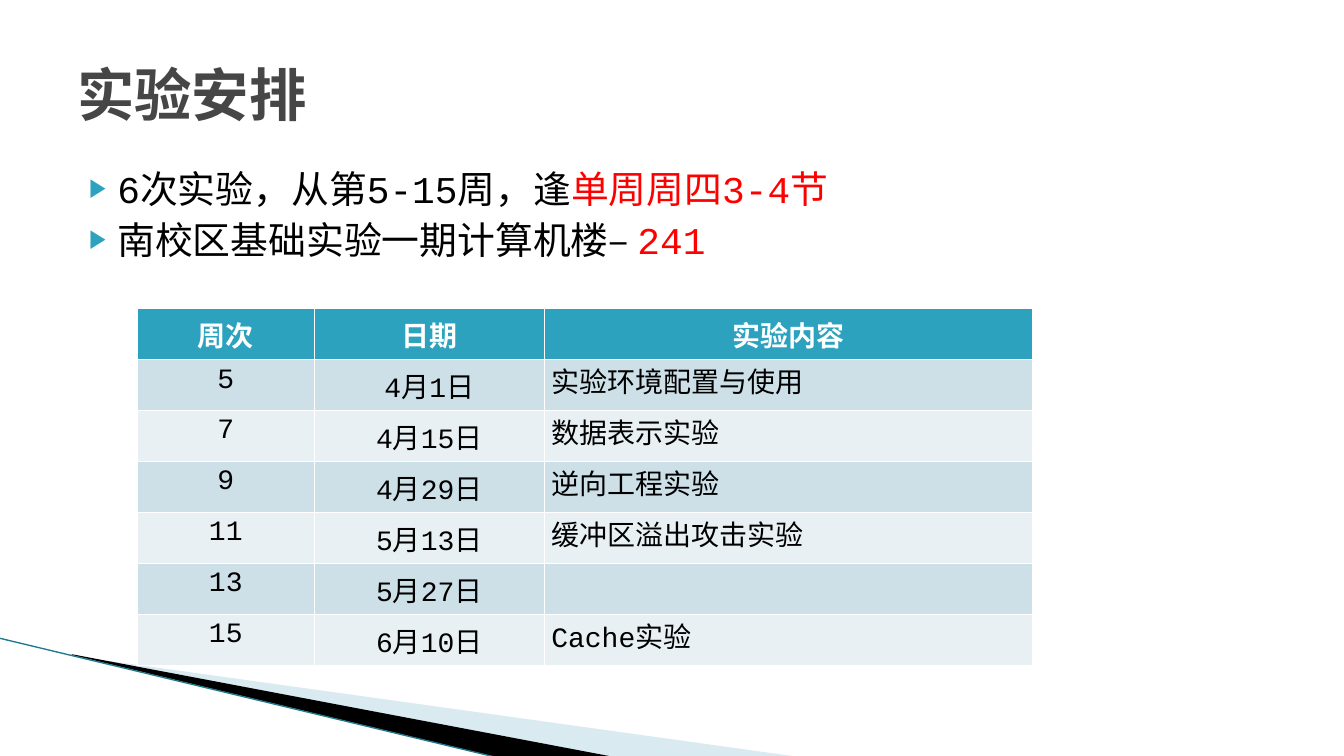
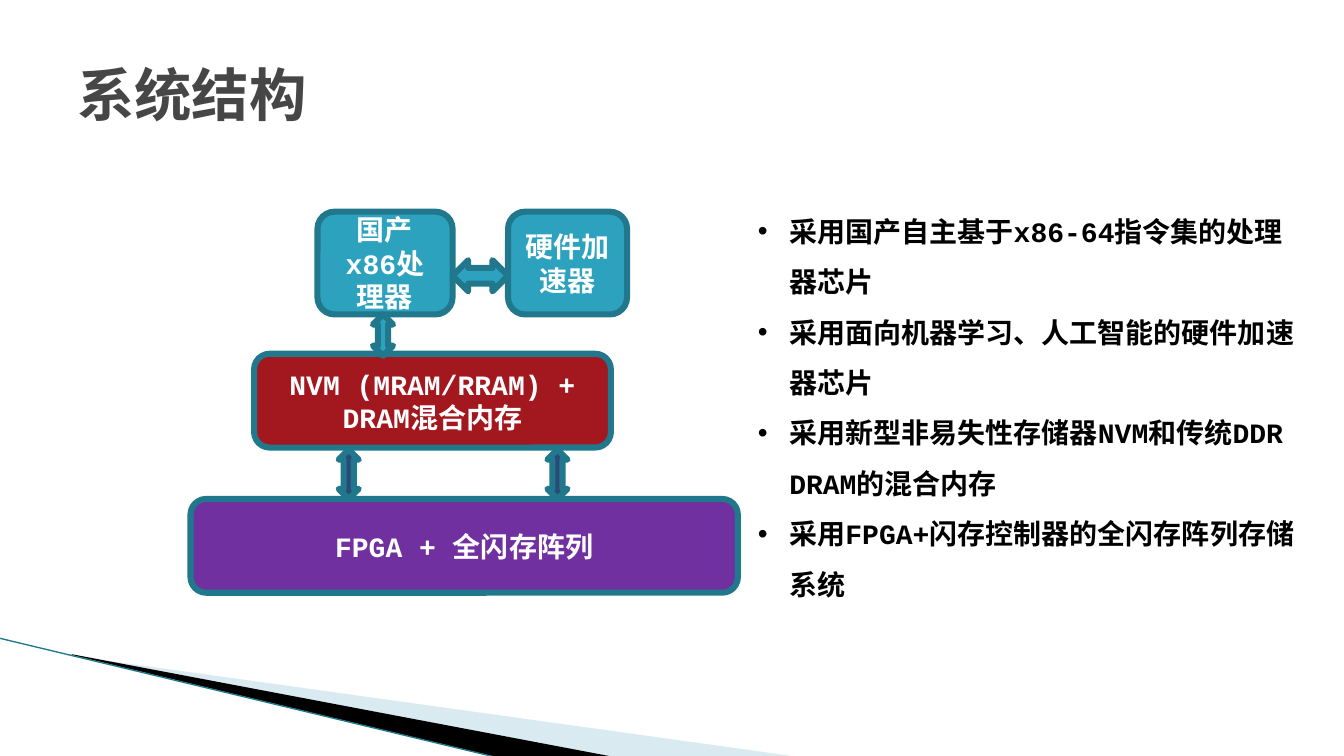
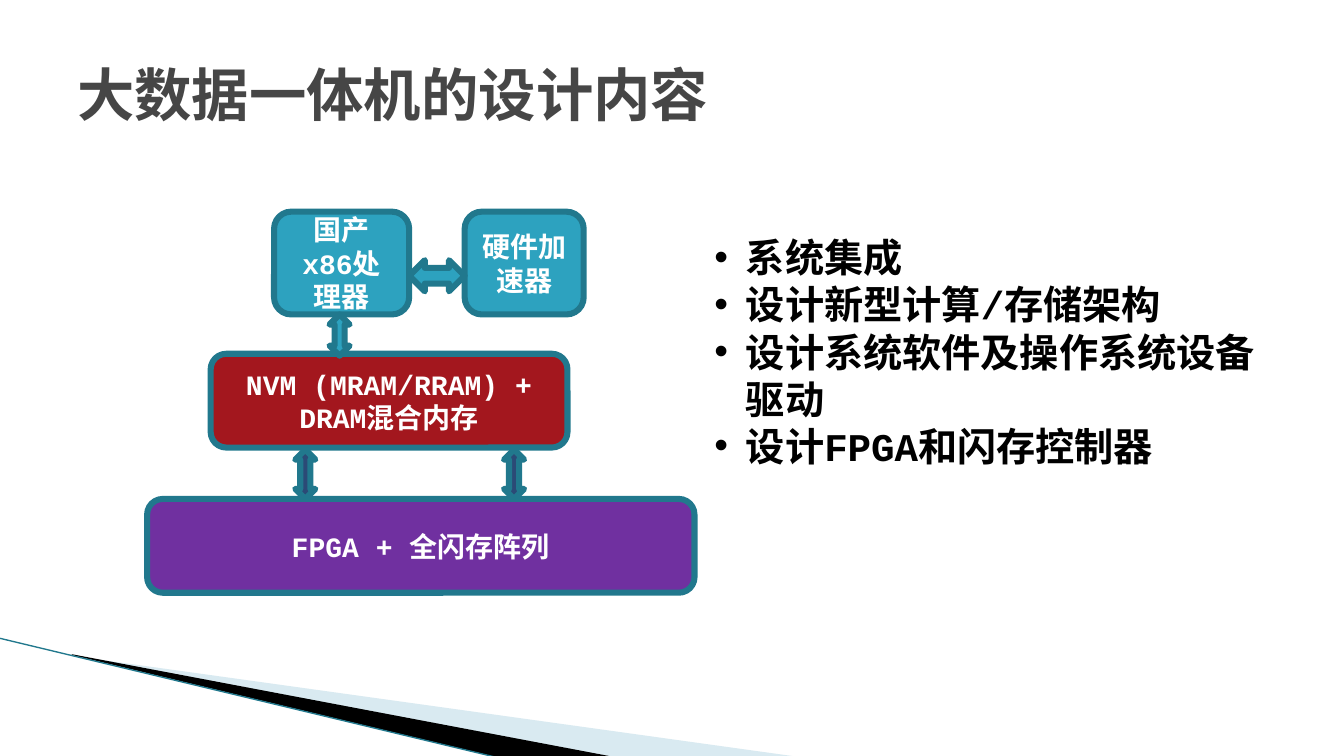
"""Build three course slides: the lab timetable and two views of a system architecture."""
from lxml.etree import SubElement
from pptx import Presentation
from pptx.dml.color import RGBColor
from pptx.enum.shapes import MSO_CONNECTOR, MSO_SHAPE
from pptx.enum.text import MSO_ANCHOR, MSO_AUTO_SIZE, PP_ALIGN
from pptx.oxml.ns import qn
from pptx.util import Pt


class Theme:
    font = "Courier New"
    teal = RGBColor.from_string("2DA2BF")
    edge = RGBColor.from_string("21788D")
    pale = RGBColor.from_string("A0CBDC")
    memory = RGBColor.from_string("A3171E")
    storage = RGBColor.from_string("7030A0")
    storage_link = RGBColor.from_string("2B4A76")
    bands = [RGBColor.from_string("CDE0E8"), RGBColor.from_string("E8F0F4")]
    grey = RGBColor.from_string("464646")
    black = RGBColor.from_string("000000")
    white = RGBColor.from_string("FFFFFF")
    red = RGBColor.from_string("FF0000")
    title_size, lead_size, topic_size, base_size = Pt(41), Pt(27), Pt(28), Pt(20)
    edge_width = Pt(4.33)


def write(frame, paragraphs, size, color, bold=False, bullet=None, **layout):
    """Fill a frame; a paragraph is a string or a list of (text, colour) runs."""
    frame.word_wrap = True
    for index, content in enumerate(paragraphs):
        paragraph = frame.paragraphs[0] if index == 0 else frame.add_paragraph()
        for name, value in layout.items():
            if name != "space_before" or index:
                setattr(paragraph, name, value)
        if bullet:
            properties = paragraph._p.get_or_add_pPr()
            properties.set("marL", str(Pt(bullet["margin"])))
            properties.set("indent", str(Pt(-bullet["hang"])))
            tint = SubElement(properties, qn("a:buClr"))
            SubElement(tint, qn("a:srgbClr"), val=str(bullet["color"]))
            SubElement(properties, qn("a:buSzPct"), val=bullet["scale"])
            SubElement(properties, qn("a:buFont"), typeface="Arial")
            SubElement(properties, qn("a:buChar"), char=bullet["char"])
        runs = [(content, color)] if isinstance(content, str) else content
        for text, tone in runs:
            run = paragraph.add_run()
            run.text = text
            for name, value in {"name": Theme.font, "size": size, "bold": bold}.items():
                setattr(run.font, name, value)
            run.font.color.rgb = tone


def paint(shape, fill, edge=None):
    """Give a shape a flat fill and, if asked, an outline."""
    shape.shadow.inherit = False
    shape.fill.solid()
    shape.fill.fore_color.rgb = fill
    if edge is None:
        shape.line.fill.background()
    else:
        shape.line.color.rgb = edge
        shape.line.width = Theme.edge_width


deck = Presentation()
deck.slide_width, deck.slide_height = Pt(960), Pt(540)

wedges = [
    (Theme.pale, "40000", [(52.6, 468.6), (571, 540.7), (437.8, 540.7), (52.6, 468)]),
    (Theme.black, "100000", [(51.1, 467.3), (438.5, 540.7), (357.1, 541.4), (51.8, 468)]),
]
slides = []
for heading in ["实验安排", "系统结构", "大数据一体机的设计内容"]:
    slide = deck.slides.add_slide(deck.slide_layouts[6])
    for color, alpha, corners in wedges:
        start, *rest = [(Pt(x), Pt(y)) for x, y in corners]
        builder = slide.shapes.build_freeform(*start)
        builder.add_line_segments(rest)
        wedge = builder.convert_to_shape()
        paint(wedge, color)
        SubElement(wedge.fill._xPr.find(".//" + qn("a:srgbClr")), qn("a:alpha"), val=alpha)
    sweep = slide.shapes.add_connector(MSO_CONNECTOR.STRAIGHT, Pt(-0.7), Pt(455.8), Pt(356.4), Pt(541.4))
    sweep.line.color.rgb = Theme.edge
    sweep.line.width = Pt(0.95)
    SubElement(sweep._element.spPr, qn("a:effectLst"))
    title = slide.shapes.add_textbox(Pt(48), Pt(21.6), Pt(864), Pt(90)).text_frame
    title.vertical_anchor = MSO_ANCHOR.MIDDLE
    write(title, [heading], Theme.title_size, Theme.grey, bold=True)
    slides.append(slide)

schedule_slide, *system_slides = slides
summary = schedule_slide.shapes.add_textbox(Pt(48), Pt(114.5), Pt(864), Pt(80))
triangle = {"char": "▶", "color": Theme.teal, "scale": "68000", "margin": 28.8, "hang": 20.2}
write(summary.text_frame, [
    [("6次实验，从第5-15周，逢", Theme.black), ("单周周四3-4节", Theme.red)],
    [("南校区基础实验一期计算机楼– ", Theme.black), ("241", Theme.red)],
], Theme.lead_size, Theme.black, bullet=triangle, space_before=Pt(4))

schedule = [
    ("周次", "日期", "实验内容"),
    ("5", "4月1日", "实验环境配置与使用"),
    ("7", "4月15日", "数据表示实验"),
    ("9", "4月29日", "逆向工程实验"),
    ("11", "5月13日", "缓冲区溢出攻击实验"),
    ("13", "5月27日", ""),
    ("15", "6月10日", "Cache实验"),
]
row_height = 36.4
timetable = schedule_slide.shapes.add_table(
    len(schedule), 3, Pt(97.9), Pt(220.5), Pt(640), Pt(row_height * len(schedule))).table
for column, width in zip(timetable.columns, [126.7, 164.2, 349.1]):
    column.width = Pt(width)
for row, entries in enumerate(schedule):
    timetable.rows[row].height = Pt(row_height)
    for column, entry in enumerate(entries):
        cell = timetable.cell(row, column)
        cell.fill.solid()
        cell.fill.fore_color.rgb = Theme.bands[(row - 1) % 2] if row else Theme.teal
        is_topic = row > 0 and column == 2
        if is_topic:
            margins = {"margin_left": 5, "margin_right": 5, "margin_top": 0, "margin_bottom": 0}
            for name, value in margins.items():
                setattr(cell, name, Pt(value))
        if entry:
            write(cell.text_frame, [entry], Theme.base_size,
                  Theme.black if row else Theme.white, bold=row == 0,
                  alignment=PP_ALIGN.LEFT if is_topic else PP_ALIGN.CENTER)

box, across, upright = MSO_SHAPE.ROUNDED_RECTANGLE, MSO_SHAPE.LEFT_RIGHT_ARROW, MSO_SHAPE.UP_DOWN_ARROW
architecture = [
    (box, 90.7, 151.2, 96.5, 73.4, Theme.teal, "国产x86处理器"),
    (box, 226.8, 151.2, 85, 73.4, Theme.teal, "硬件加速器"),
    (across, 187.2, 185.8, 39.6, 22.3, Theme.teal, ""),
    (box, 45.4, 252.7, 254.9, 67, Theme.memory, "NVM (MRAM/RRAM) + DRAM混合内存"),
    (upright, 130.3, 224.6, 14.4, 29.5, Theme.teal, ""),
    (box, 0, 356.4, 391, 67, Theme.storage, "FPGA + 全闪存阵列"),
    (upright, 105.8, 321.1, 14.4, 35.3, Theme.storage_link, ""),
    (upright, 254.9, 321.1, 14.4, 35.3, Theme.storage_link, ""),
]
dot = {"char": "•", "color": Theme.black, "scale": "100000", "margin": 22.5, "hang": 22.5}
views = [
    (136.1, (534.2, 137.5, 397.4, 298), Theme.base_size, 1.5, [
        "采用国产自主基于x86-64指令集的处理器芯片",
        "采用面向机器学习、人工智能的硬件加速器芯片",
        "采用新型非易失性存储器NVM和传统DDR DRAM的混合内存",
        "采用FPGA+闪存控制器的全闪存阵列存储系统",
    ]),
    (105.1, (503.3, 163.4, 410.4, 177), Theme.topic_size, 1.0, [
        "系统集成",
        "设计新型计算/存储架构",
        "设计系统软件及操作系统设备驱动",
        "设计FPGA和闪存控制器",
    ]),
]
for slide, (origin, area, size, spacing, points) in zip(system_slides, views):
    for kind, left, top, width, height, color, label in architecture:
        part = slide.shapes.add_shape(kind, Pt(origin + left), Pt(top), Pt(width), Pt(height))
        paint(part, color, Theme.edge)
        if label:
            part.text_frame.vertical_anchor = MSO_ANCHOR.MIDDLE
            write(part.text_frame, [label], Theme.base_size, Theme.white, bold=True,
                  alignment=PP_ALIGN.CENTER)
    notes = slide.shapes.add_textbox(*map(Pt, area)).text_frame
    notes.auto_size = MSO_AUTO_SIZE.SHAPE_TO_FIT_TEXT
    write(notes, points, size, Theme.black, bold=True, bullet=dot, line_spacing=spacing)

deck.save("out.pptx")
